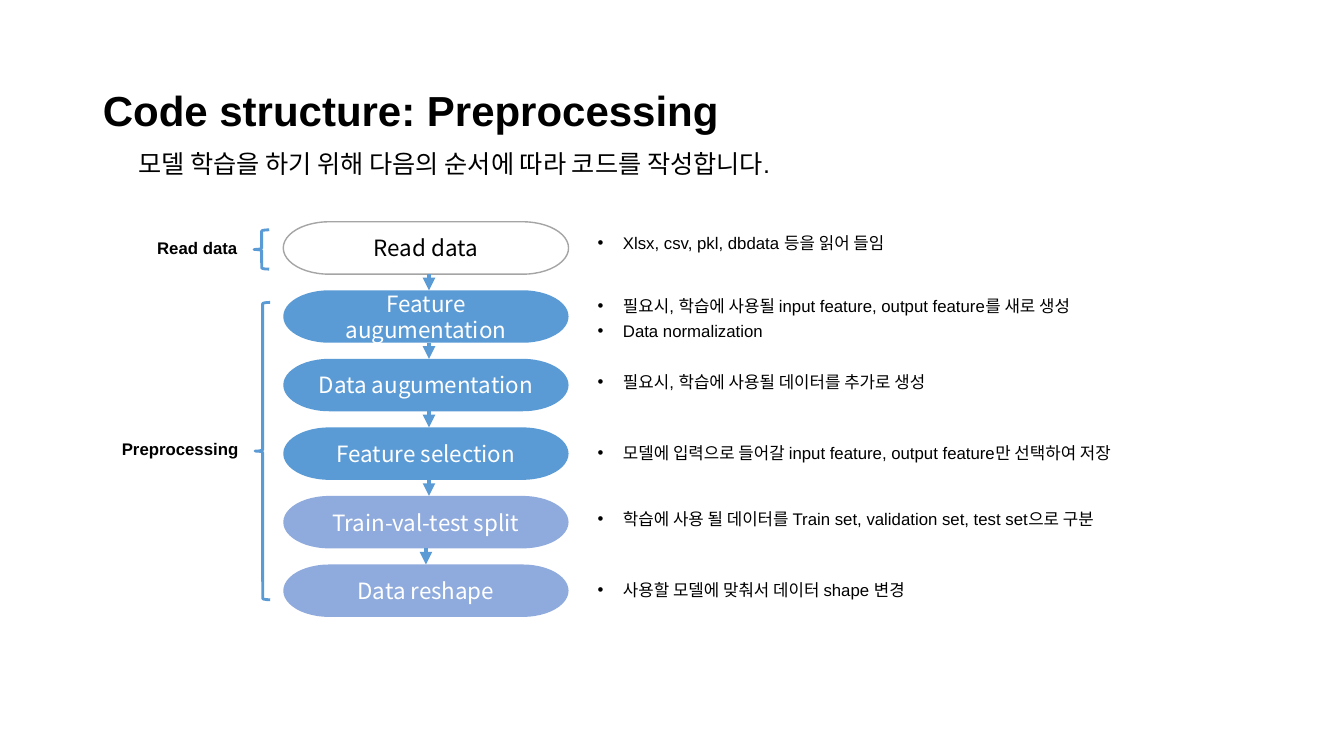
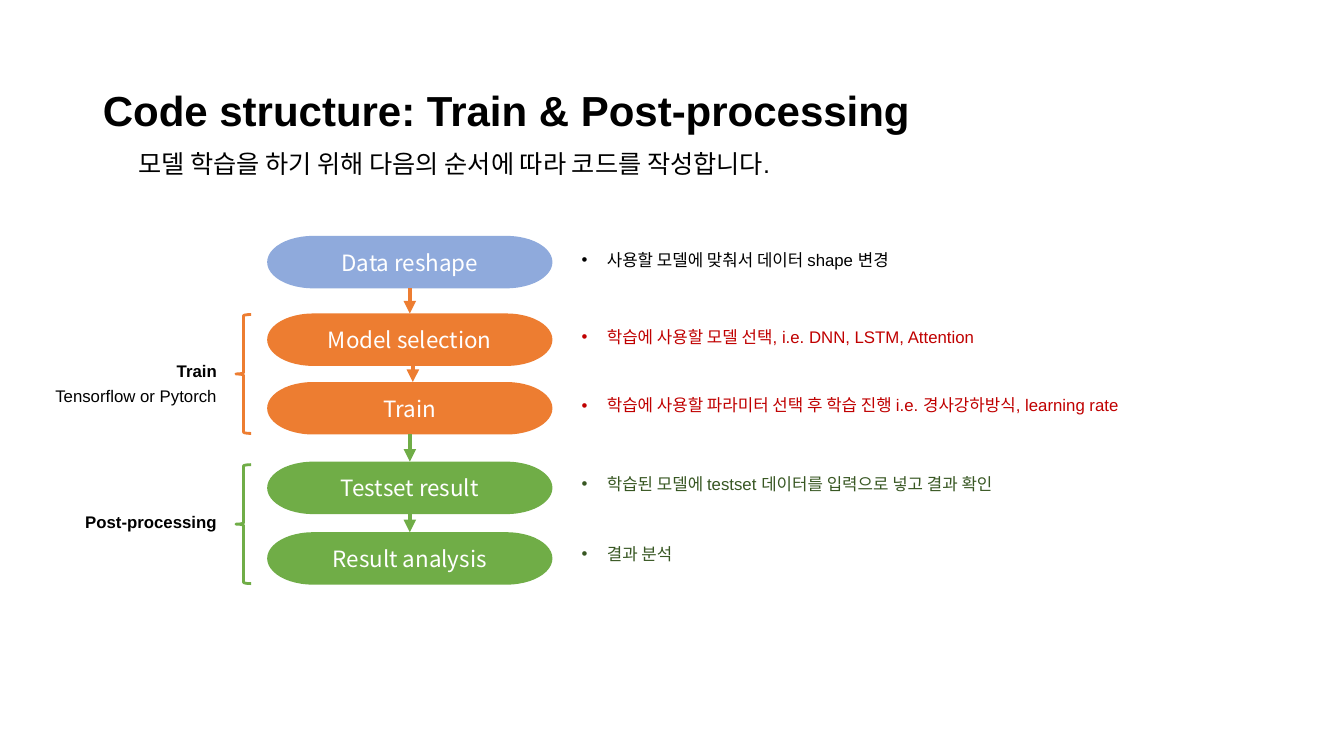
from collections import namedtuple
from pptx import Presentation
from pptx.dml.color import RGBColor
from pptx.enum.shapes import MSO_CONNECTOR, MSO_SHAPE
from pptx.enum.text import MSO_ANCHOR, MSO_AUTO_SIZE, PP_ALIGN
from pptx.oxml.ns import qn
from pptx.util import Inches, Pt
from lxml.etree import SubElement

HUES = {
    "black": "000000", "white": "FFFFFF", "gray": "A5A5A5",
    "blue": "5B9BD5", "pale": "8FAADC", "orange": "ED7D31",
    "green": "70AD47", "red": "C00000", "moss": "385723",
}
LATIN = "Arial"
KOREAN = "Noto Sans CJK KR"
LEAD = "모델 학습을 하기 위해 다음의 순서에 따라 코드를 작성합니다."
WIDE, HIGH = 2.83, 0.52
NOTE_GAP = 0.19

Step = namedtuple("Step", "name top fill notes lag ink arrow shift",
                  defaults=("black", None, 0))
Group = namedtuple("Group", "lines box align space brace hue")


def hue(name):
    return RGBColor.from_string(HUES[name])


def place(shape, left, top, width, height):
    shape.left, shape.top = Inches(left), Inches(top)
    shape.width, shape.height = Inches(width), Inches(height)


def write(frame, lines, size=12, ink="black", font=LATIN, bold=False,
          align=PP_ALIGN.LEFT, space=None, before=0, bullet=None,
          anchor=MSO_ANCHOR.TOP):
    frame.word_wrap = True
    frame.auto_size = MSO_AUTO_SIZE.NONE
    frame.vertical_anchor = anchor
    for i, line in enumerate(lines):
        para = frame.paragraphs[0] if i == 0 else frame.add_paragraph()
        para.alignment = align
        para.space_before = Pt(before)
        if space:
            para.line_spacing = space
        props = para._p.get_or_add_pPr()
        indent = Inches(0.25) if bullet else 0
        props.set("marL", str(indent))
        props.set("indent", str(-indent))
        if bullet:
            SubElement(props, qn("a:buFont")).set("typeface", LATIN)
            SubElement(props, qn("a:buChar")).set("char", bullet)
        else:
            SubElement(props, qn("a:buNone"))
        run = para.add_run()
        run.text = line
        run.font.name = font
        run.font.size = Pt(size)
        run.font.bold = bold and i == 0
        run.font.color.rgb = hue(ink)
        SubElement(run._r.get_or_add_rPr(), qn("a:ea")).set("typeface", KOREAN)


def label(slide, box, lines, **form):
    text = slide.shapes.add_textbox(*map(Inches, box))
    write(text.text_frame, lines, before=10, **form)


def outline(slide, kind, box, fill=None, line=None, weight=1):
    shape = slide.shapes.add_shape(kind, *map(Inches, box))
    shape.shadow.inherit = False
    if fill:
        shape.fill.solid()
        shape.fill.fore_color.rgb = hue(fill)
    else:
        shape.fill.background()
    if line:
        shape.line.color.rgb = hue(line)
        shape.line.width = Pt(weight)
    else:
        shape.line.fill.background()
    return shape


def arrow(slide, above, below, color, shift):
    x = above.left + above.width // 2 + Inches(shift)
    link = slide.shapes.add_connector(
        MSO_CONNECTOR.STRAIGHT, x, above.top + above.height, x, below.top)
    if not shift:
        link.begin_connect(above, 2)
        link.end_connect(below, 0)
    link.line.color.rgb = hue(color)
    link.line.width = Pt(3)
    SubElement(link.line._get_or_add_ln(), qn("a:tailEnd")).set("type", "triangle")
    SubElement(link._element.spPr, qn("a:effectLst"))


def head(slide, title):
    name, body = slide.shapes.title, slide.placeholders[1]
    place(name, 0.92, 0.4, 11.5, 1.45)
    write(name.text_frame, [title], size=30, bold=True, space=0.9,
          anchor=MSO_ANCHOR.MIDDLE)
    place(body, 1.27, 1.46, 9.22, 0.86)
    write(body.text_frame, [LEAD], size=18, space=0.9, before=10)


def flow(slide, left, steps):
    last = None
    for step in steps:
        plain = step.fill == "white"
        node = outline(slide, MSO_SHAPE.FLOWCHART_TERMINATOR,
                       (left, step.top, WIDE, HIGH), step.fill,
                       "gray" if plain else None)
        write(node.text_frame, [step.name], size=16, font=KOREAN,
              ink="black" if plain else "white", align=PP_ALIGN.CENTER,
              anchor=MSO_ANCHOR.MIDDLE)
        label(slide, (left + WIDE + NOTE_GAP, step.top + step.lag, 6.31, 0.41),
              step.notes, ink=step.ink, space=Pt(8), bullet="•")
        if last:
            arrow(slide, last, node, step.arrow, step.shift)
        last = node


def bracket(slide, group):
    outline(slide, MSO_SHAPE.LEFT_BRACE, group.brace, line=group.hue, weight=2)
    label(slide, group.box, group.lines, bold=True, align=group.align,
          space=group.space)


def page(deck, title, left, steps, groups):
    slide = deck.slides.add_slide(deck.slide_layouts[1])
    head(slide, title)
    flow(slide, left, steps)
    for group in groups:
        bracket(slide, group)


def prep(deck):
    rows = [
        ("Read data", "white", ["Xlsx, csv, pkl, dbdata 등을 읽어 들임"], 0.15),
        ("Feature augumentation", "blue",
         ["필요시, 학습에 사용될 input feature, output feature를 새로 생성",
          "Data normalization"], 0.09),
        ("Data augumentation", "blue",
         ["필요시, 학습에 사용될 데이터를 추가로 생성"], 0.17),
        ("Feature selection", "blue",
         ["모델에 입력으로 들어갈 input feature, output feature만 선택하여 저장"], 0.19),
        ("Train-val-test split", "pale",
         ["학습에 사용 될 데이터를 Train set, validation set, test set으로 구분"], 0.17),
        ("Data reshape", "pale", ["사용할 모델에 맞춰서 데이터 shape 변경"], 0.19),
    ]
    steps = [Step(name, 2.2 + 0.68 * i, fill, notes, lag, arrow="blue",
                  shift=0 if i == len(rows) - 1 else 0.03)
             for i, (name, fill, notes, lag) in enumerate(rows)]
    groups = [
        Group(["Read data"], (1.46, 2.33, 1.82, 0.41), PP_ALIGN.LEFT, 0.9,
              (2.52, 2.28, 0.15, 0.39), "blue"),
        Group(["Preprocessing"], (1.11, 4.33, 2.06, 0.41), PP_ALIGN.LEFT, 0.9,
              (2.53, 3, 0.15, 2.95), "blue"),
    ]
    page(deck, "Code structure: Preprocessing", 2.81, steps, groups)


def train(deck):
    steps = [
        Step("Data reshape", 2.34, "pale",
             ["사용할 모델에 맞춰서 데이터 shape 변경"], 0.18),
        Step("Model selection", 3.11, "orange",
             ["학습에 사용할 모델 선택, i.e. DNN, LSTM, Attention"],
             0.17, "red", "orange"),
        Step("Train", 3.79, "orange",
             ["학습에 사용할 파라미터 선택 후 학습 진행 i.e. 경사강하방식, learning rate"],
             0.17, "red", "orange", 0.03),
        Step("Testset result", 4.58, "green",
             ["학습된 모델에 testset 데이터를 입력으로 넣고 결과 확인"],
             0.16, "moss", "green"),
        Step("Result analysis", 5.28, "green", ["결과 분석"],
             0.15, "moss", "green"),
    ]
    groups = [
        Group(["Train", "Tensorflow or Pytorch"], (0.19, 3.62, 2.06, 0.41),
              PP_ALIGN.RIGHT, Pt(8), (2.34, 3.12, 0.15, 1.18), "orange"),
        Group(["Post-processing"], (0.19, 5.05, 2.06, 0.41),
              PP_ALIGN.RIGHT, 0.9, (2.34, 4.61, 0.15, 1.18), "green"),
    ]
    page(deck, "Code structure: Train & Post-processing", 2.65, steps, groups)


def main():
    deck = Presentation()
    deck.slide_width, deck.slide_height = Inches(13.33), Inches(7.5)
    prep(deck)
    train(deck)
    deck.save("out.pptx")


if __name__ == "__main__":
    main()
